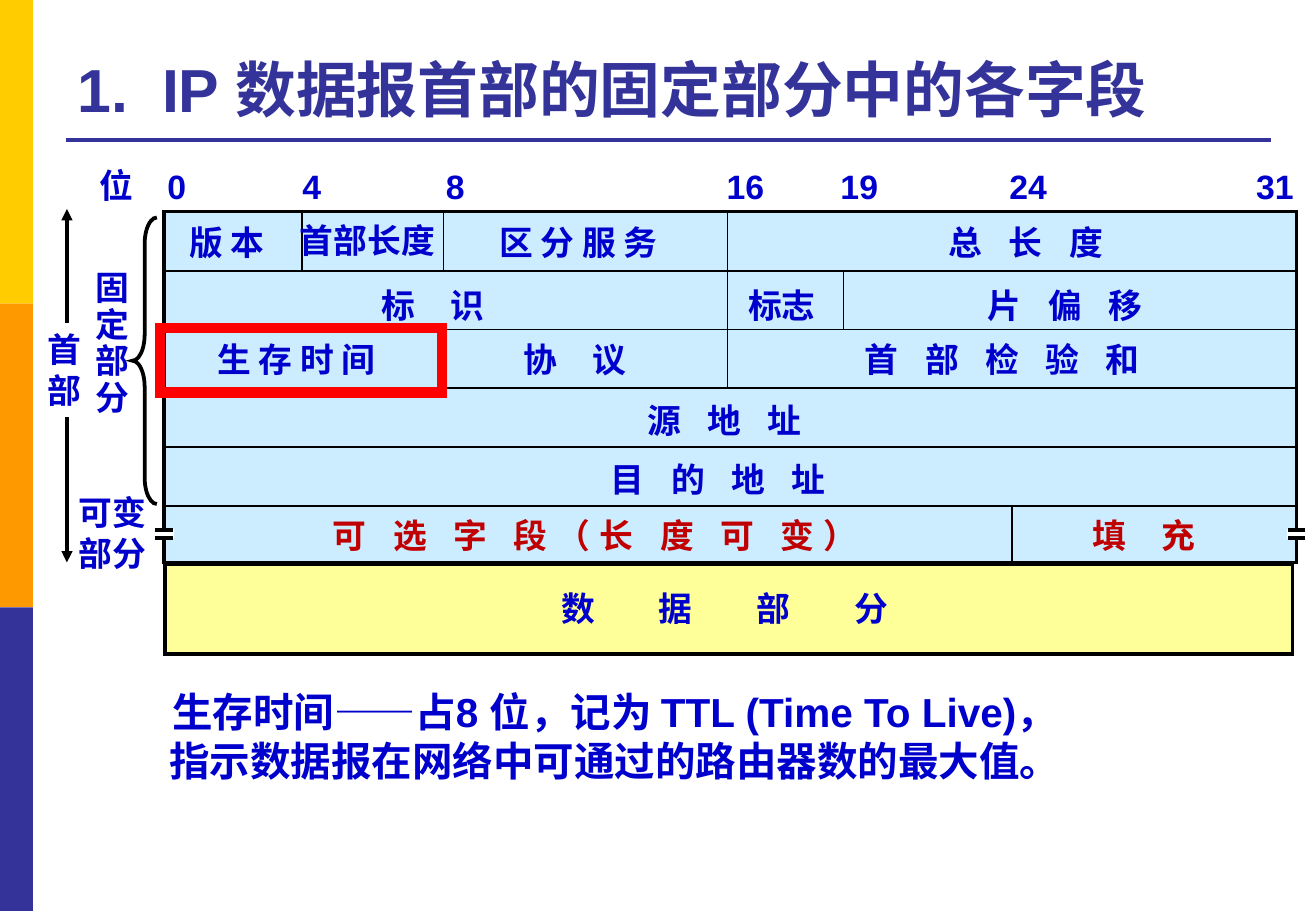
from typing import Any, NamedTuple

from lxml.etree import SubElement as Sub
from pptx import Presentation
from pptx.dml.color import RGBColor as Rgb
from pptx.enum.shapes import MSO_CONNECTOR as Link, MSO_SHAPE as Form
from pptx.enum.text import MSO_ANCHOR as Anchor, MSO_AUTO_SIZE as Auto, PP_ALIGN as Align
from pptx.oxml.ns import qn
from pptx.util import Cm, Pt

HUES = {
    "gold": "FFCC00", "orange": "FF9900", "navy": "333399", "blue": "0000CC",
    "sky": "CCECFF", "cream": "FFFF99", "white": "FFFFFF", "black": "000000",
    "red": "FF0000", "dark": "C00000",
}
FONT = {"name": "Arial", "bold": True}
SPACE = 5.56  # width in points of one space at 20 pt
TOP, STEP = 4.43, 1.23  # first row and row height of the header
LEFT, RIGHT = 3.4, 27.13


class Box(NamedTuple):
    x: float
    y: float
    w: float
    h: float
    fill: str = ""
    line: str = ""
    thick: float = 0
    form: Any = Form.RECTANGLE


class Label(NamedTuple):
    text: str
    x: float
    y: float
    w: float
    gap: int = 1
    hue: str = "blue"
    size: int = 20
    h: float = 1.09
    style: dict = {}


class Rule(NamedTuple):
    x1: float
    y1: float
    x2: float
    y2: float
    thick: float = 1
    hue: str = "black"
    heads: bool = False


BARS = [Box(0, 6.35 * i, 0.69, 6.35, hue)
        for i, hue in enumerate(("gold", "orange", "navy"))]
AREAS = [
    Box(3.43, 4.42, 23.67, 7.34, "sky", "black", 2),
    Box(3.45, 11.79, 23.57, 1.88, "cream", "black", 2.25),
]
BRACE = Box(2.77, 4.55, 0.51, 5.99, "", "black", 2.25, Form.LEFT_BRACE)
FRAME = Box(3.35, 6.86, 5.89, 1.35, "", "red", 6)

# Column edges: x, first row, last row
EDGES = [(6.32, 0, 1), (9.27, 0, 1), (9.27, 2, 3), (15.21, 0, 3),
         (21.16, 5, 6), (17.63, 1, 2)]
GRID = [Rule(LEFT, TOP + STEP * i, RIGHT, TOP + STEP * i) for i in range(1, 6)]
GRID += [Rule(x, TOP + STEP * a, x, TOP + STEP * b) for x, a, b in EDGES]

BITS = {0: 3.25, 4: 6.07, 8: 9.07, 16: 14.94, 19: 17.32, 24: 20.85, 31: 26.01}
MARKS = [Label(str(bit), x, 3.35, 0.91 if bit < 10 else 1.3)
         for bit, x in BITS.items()]
FIELDS = [
    Label("版 本", 3.71, 4.52, 2.13),
    Label("首部长度", 6.02, 4.47, 3.38),
    Label("区 分 服 务", 10.19, 4.52, 3.96),
    Label("总 长 度", 19.58, 4.52, 3.84, 3),
    Label("标 识", 7.72, 5.84, 2.72, 4),
    Label("标志", 15.39, 5.84, 1.93),
    Label("片 偏 移", 20.4, 5.84, 3.84, 3),
    Label("生 存 时 间", 4.29, 6.96, 3.96),
    Label("协 议", 10.69, 6.96, 2.72, 4),
    Label("首 部 检 验 和", 17.83, 6.96, 6.45, 3),
    Label("源 地 址", 13.28, 8.23, 3.84, 3),
    Label("目 的 地 址", 12.52, 9.47, 5.13, 3),
    Label("可 选 字 段（长 度 可 变）", 6.71, 10.64, 11.58, 3, "dark"),
    Label("填 充", 22.58, 10.64, 2.72, 4, "dark"),
    Label("数 据 部 分", 11.48, 12.17, 8.76, 7),
]
SIDES = [
    Label("位", 1.83, 3.33, 1.22),
    Label("固\n定\n部\n分", 1.75, 5.56, 1.22, h=3.33, style={"line_spacing": 0.9}),
    Label("可变\n部分", 1.4, 10.16, 1.93, h=1.96),
]
HEAD = Label("首\n部", 0.74, 6.76, 1.22, h=1.96)
NOTE = Label("生存时间——占8 位，记为 TTL (Time To Live)，\n"
             "指示数据报在网络中可通过的路由器数的最大值。",
             3.1, 14.25, 19.43, size=24, h=2.31, style={"alignment": Align.CENTER})


def tint(hue: str) -> Rgb:
    return Rgb.from_string(HUES[hue])


def apply(item: Any, style: dict) -> None:
    for key, value in style.items():
        setattr(item, key, value)


def ink(run: Any, hue: str, size: int, space: float = 0) -> None:
    """Format a run; space is extra points after each letter."""
    apply(run.font, FONT | {"size": Pt(size)})
    run.font.color.rgb = tint(hue)
    if space:
        run._r.get_or_add_rPr().set("spc", str(round(space * 100)))


def draw_box(slide: Any, box: Box) -> Any:
    shape = slide.shapes.add_shape(box.form, Cm(box.x), Cm(box.y), Cm(box.w), Cm(box.h))
    shape.shadow.inherit = False
    if box.fill:
        shape.fill.solid()
        shape.fill.fore_color.rgb = tint(box.fill)
    else:
        shape.fill.background()
    if box.line:
        shape.line.color.rgb = tint(box.line)
        shape.line.width = Pt(box.thick)
        Sub(shape._element.spPr.find(qn("a:ln")), qn("a:miter"), lim="800000")
    else:
        shape.line.fill.background()
    return shape


def draw_rule(slide: Any, rule: Rule) -> None:
    ends = [Cm(v) for v in rule[:4]]
    line = slide.shapes.add_connector(Link.STRAIGHT, *ends)
    line.line.color.rgb = tint(rule.hue)
    line.line.width = Pt(rule.thick)
    props = line._element.spPr
    if rule.heads:
        for end in ("a:headEnd", "a:tailEnd"):
            Sub(props.find(qn("a:ln")), qn(end), type="triangle")
    Sub(props, qn("a:effectLst"))


def draw_label(slide: Any, label: Label) -> None:
    """Add a text box, widening single spaces to the width of gap spaces."""
    space = SPACE * (label.gap - 1) / 2
    wide = Cm(label.w) + Pt(space + 2)
    box = slide.shapes.add_textbox(Cm(label.x), Cm(label.y), wide, Cm(label.h))
    box.text_frame.word_wrap = True
    box.text_frame.text = label.text
    for para in box.text_frame.paragraphs:
        apply(para, label.style)
        for run in para.runs:
            ink(run, label.hue, label.size, space)


def draw_title(slide: Any) -> None:
    title = slide.shapes.title
    apply(title, {"left": Cm(1.37), "top": Cm(0.53), "width": Cm(25.17), "height": Cm(2.21)})
    apply(title.text_frame, {"vertical_anchor": Anchor.BOTTOM, "word_wrap": True,
                             "auto_size": Auto.NONE})
    para = title.text_frame.paragraphs[0]
    para.alignment = Align.LEFT
    for text, space in (("1.", 0), (" ", 10), ("IP 数据报首部的固定部分中的各字段", 0)):
        run = para.add_run()
        run.text = text
        ink(run, "navy", 36, space)


def draw_break(slide: Any, x: float) -> None:
    """Cut the header's side with a white gap between two short strokes."""
    draw_box(slide, Box(x, 11.06, 0.41, 0.2, "white"))
    for y in (11.08, 11.25):
        draw_rule(slide, Rule(x + 0.02, y, x + 0.38, y, 2))


def main() -> None:
    deck = Presentation()
    apply(deck, {"slide_width": Cm(27.51), "slide_height": Cm(19.05)})
    slide = deck.slides.add_slide(deck.slide_layouts[5])
    draw_title(slide)
    for box in BARS + AREAS:
        draw_box(slide, box)
    draw_rule(slide, Rule(1.37, 2.92, 26.57, 2.92, 2.25, "navy"))
    for rule in GRID:
        draw_rule(slide, rule)
    for label in SIDES + MARKS + FIELDS:
        draw_label(slide, label)
    for x in (3.23, 26.9):
        draw_break(slide, x)
    draw_rule(slide, Rule(1.4, 4.37, 1.4, 11.76, 2.25, heads=True))
    draw_box(slide, Box(HEAD.x, HEAD.y, HEAD.w, HEAD.h, "white"))
    draw_label(slide, HEAD)
    brace = draw_box(slide, BRACE)
    brace.adjustments[0] = 1.08
    draw_label(slide, NOTE)
    draw_box(slide, FRAME)
    deck.save("out.pptx")


if __name__ == "__main__":
    main()
